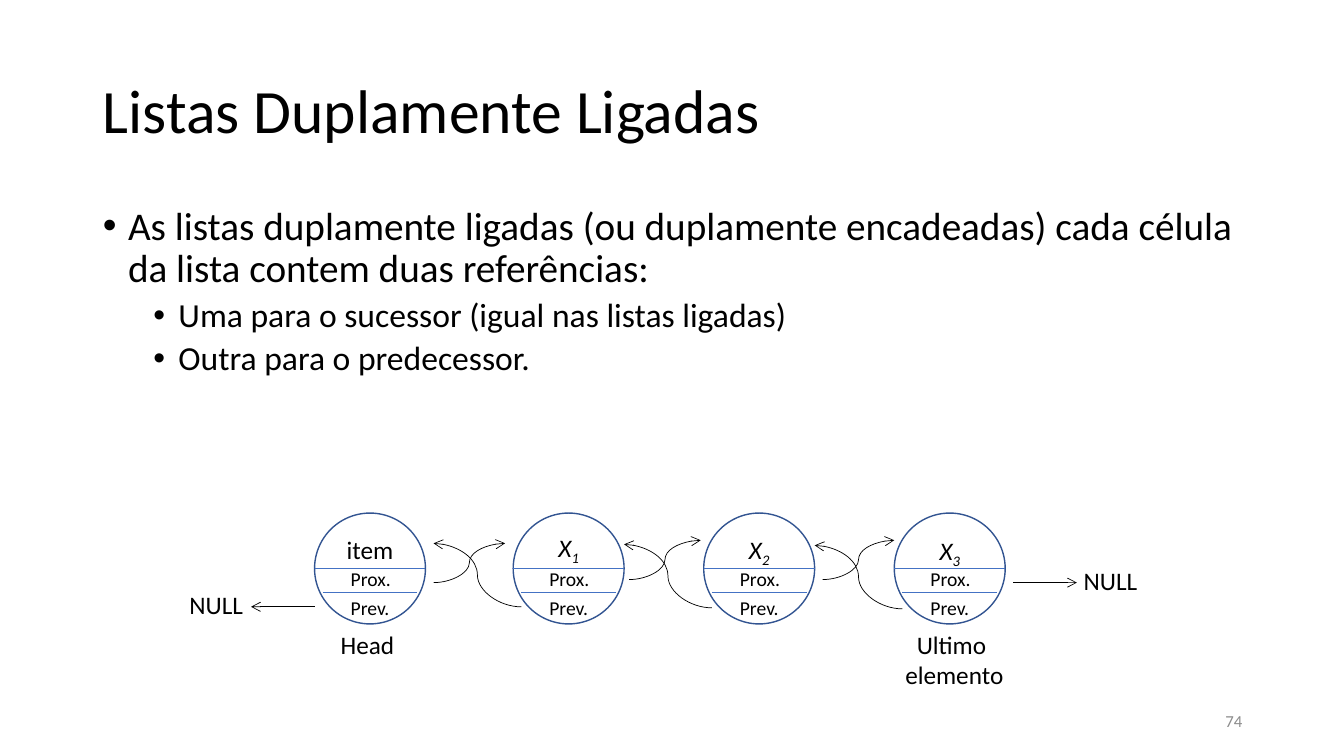
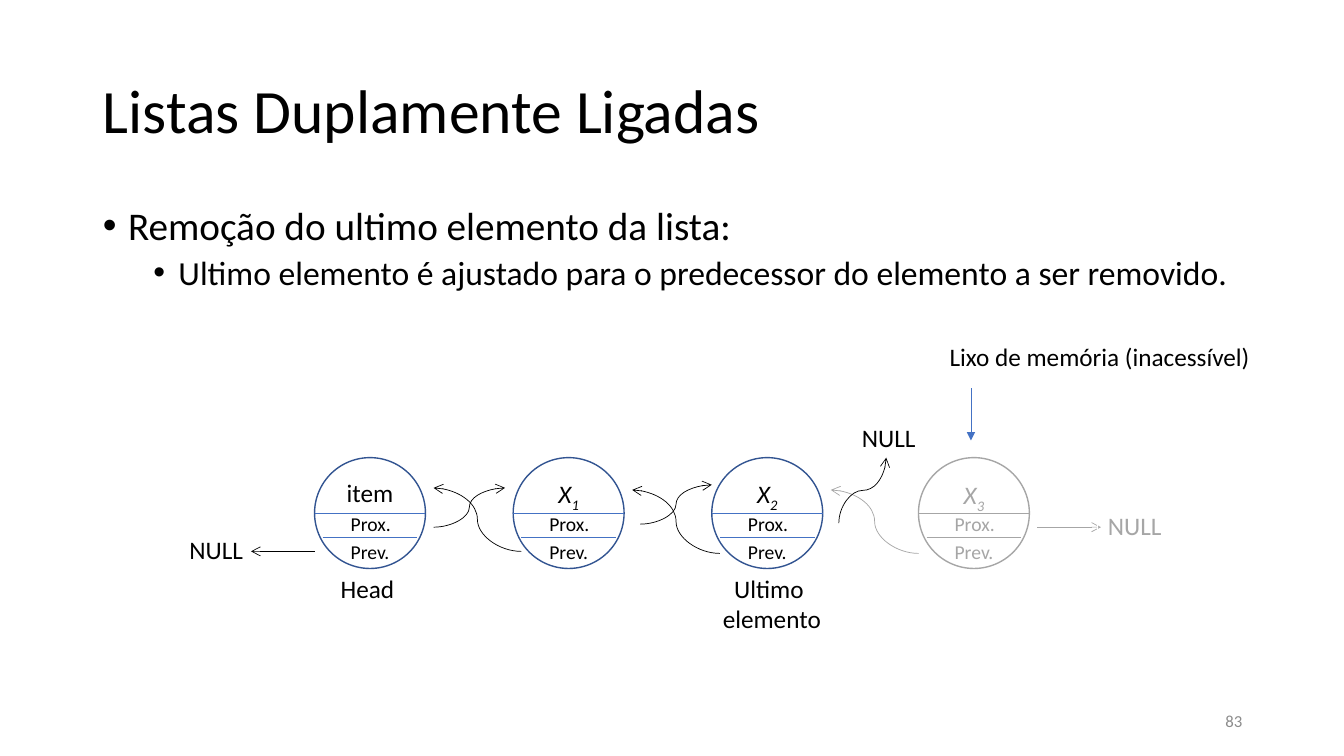
from dataclasses import dataclass

from lxml import etree
from pptx import Presentation
from pptx import util as u
from pptx.dml.color import RGBColor
from pptx.enum import shapes, text
from pptx.oxml import ns

PX = 9144  # EMU per px, 100 px to the inch
FONT = "Calibri"
BLACK = RGBColor(0x00, 0x00, 0x00)
WHITE = RGBColor(0xFF, 0xFF, 0xFF)
GREY = RGBColor(0xA6, 0xA6, 0xA6)
NUMBER_GREY = RGBColor(0x8C, 0x8C, 0x8C)
RING_BLUE = RGBColor(0x32, 0x54, 0x91)
RULE_BLUE = RGBColor(0x44, 0x72, 0xC4)

TITLE = "Listas Duplamente Ligadas"
DIAMETER = 110
FORWARD = (71, -39)
BACKWARD = (-87, -63)
BULLET_STYLES = ((28, 25, 0), (24, 75, 5))  # size, left margin, space before


@dataclass(frozen=True)
class Cell:
    left: int
    label_drop: int
    subscript: str = ""
    faded: bool = False


@dataclass(frozen=True)
class Label:
    left: int
    top: int
    width: int
    lines: tuple[str, ...]
    color: RGBColor = BLACK
    border: RGBColor | None = None


@dataclass(frozen=True)
class Arrow:
    start: tuple[int, int]
    reach: tuple[int, int]
    color: RGBColor = BLACK
    curved: bool = False
    quarter_turns: int = 0
    head: str = "arrow"


@dataclass(frozen=True)
class ListPage:
    number: str
    bullets: tuple[tuple[int, str], ...]
    cells_top: int
    cells: tuple[Cell, ...]
    arrows: tuple[Arrow, ...]
    labels: tuple[Label, ...]


def emu(px: float) -> u.Emu:
    return u.Emu(round(px * PX))


def forward(x: int, y: int) -> Arrow:
    return Arrow((x, y), FORWARD, curved=True)


def backward(x: int, y: int, color: RGBColor = BLACK) -> Arrow:
    return Arrow((x, y), BACKWARD, color, curved=True, quarter_turns=2)


def null_label(left: int, top: int, color: RGBColor = BLACK,
               border: RGBColor | None = None) -> Label:
    return Label(left, top, 74, ("NULL",), color, border)


PAGES = (
    ListPage(
        "74",
        ((0, "As listas duplamente ligadas (ou duplamente encadeadas) cada célula "
             "da lista contem duas referências:"),
         (1, "Uma para o sucessor (igual nas listas ligadas)"),
         (1, "Outra para o predecessor.")),
        509,
        (Cell(312, 16), Cell(509, 14, "1"), Cell(698, 16, "2"), Cell(887, 17, "3")),
        (forward(430, 578), forward(624, 575), forward(816, 575),
         backward(517, 602), backward(706, 603), backward(895, 604),
         Arrow((312, 602), (-63, 0)), Arrow((1005, 578), (63, 0))),
        (Label(328, 619, 74, ("Head",)),
         Label(887, 619, 119, ("Ultimo ", "elemento")),
         null_label(1065, 556), null_label(178, 580)),
    ),
    ListPage(
        "83",
        ((0, "Remoção do ultimo elemento da lista:"),
         (1, "Ultimo elemento é ajustado para o predecessor do elemento "
             "a ser removido.")),
        454,
        (Cell(312, 15), Cell(509, 16, "1"), Cell(706, 16, "2"),
         Cell(911, 17, "3", faded=True)),
        (forward(430, 523), forward(635, 520),
         backward(517, 547), backward(714, 549), backward(911, 549, GREY),
         Arrow((832, 519), (47, -65), curved=True, quarter_turns=1),
         Arrow((312, 547), (-63, 0)), Arrow((1029, 523), (63, 0), GREY),
         Arrow((963, 385), (0, 52), RULE_BLUE, head="triangle")),
        (Label(328, 564, 74, ("Head",)),
         Label(706, 564, 119, ("Ultimo ", "elemento")),
         null_label(178, 525), null_label(845, 414),
         null_label(1089, 501, GREY, WHITE),
         Label(932, 334, 321, ("Lixo de memória (inacessível)",))),
    ),
)


def place(shape, left: int, top: int, width: int, height: int) -> None:
    shape.left, shape.top = emu(left), emu(top)
    shape.width, shape.height = emu(width), emu(height)


def add_span(para, words: str, size: int, color: RGBColor = BLACK,
             italic: bool = False, subscript: bool = False) -> None:
    span = para.add_run()
    span.text = words
    span.font.name = FONT
    span.font.size = u.Pt(size)
    span.font.color.rgb = color
    if italic:
        span.font.italic = True
    if subscript:
        span.font._element.set("baseline", "-25000")


def add_fitted_box(parent, left: int, top: int, width: int, height: int):
    """Add an empty text box that grows with its unwrapped text."""
    box = parent.add_textbox(emu(left), emu(top), emu(width), emu(height))
    box.text_frame.word_wrap = False
    box.text_frame.auto_size = text.MSO_AUTO_SIZE.SHAPE_TO_FIT_TEXT
    return box


def add_line(parent, begin: tuple[float, float], end: tuple[float, float],
             color: RGBColor, curved: bool = False):
    kind = shapes.MSO_CONNECTOR.CURVE if curved else shapes.MSO_CONNECTOR.STRAIGHT
    line = parent.add_connector(kind, *map(emu, begin + end))
    line.line.color.rgb = color
    line.line.width = u.Pt(0.5)
    etree.SubElement(line._element.spPr, ns.qn("a:effectLst"))
    return line


def add_arrow(parent, arrow: Arrow) -> None:
    """Draw an arrow; a turned curve is laid out unrotated about its centre."""
    dx, dy = arrow.reach
    x, y = arrow.start[0] + dx / 2, arrow.start[1] + dy / 2
    for _ in range(arrow.quarter_turns):
        dx, dy = dy, -dx
    line = add_line(parent, (x - dx / 2, y - dy / 2), (x + dx / 2, y + dy / 2),
                    arrow.color, arrow.curved)
    if arrow.quarter_turns:
        line._element.spPr.find(ns.qn("a:xfrm")).set(
            "rot", str(arrow.quarter_turns * 5400000))
    head = etree.SubElement(line.line._get_or_add_ln(), ns.qn("a:tailEnd"))
    head.set("type", arrow.head)


def add_cell(page, cell: Cell, top: int) -> None:
    parent = page.shapes.add_group_shape().shapes
    left = cell.left
    ink = GREY if cell.faded else BLACK
    rule = GREY if cell.faded else RULE_BLUE

    for words, drop in (("Prox.", 49), ("Prev.", 77)):
        box = add_fitted_box(parent, left + 26, top + drop, 60, 34)
        add_span(box.text_frame.paragraphs[0], words, 14, ink)

    ring = parent.add_shape(shapes.MSO_SHAPE.OVAL, emu(left), emu(top),
                            emu(DIAMETER), emu(DIAMETER))
    ring.shadow.inherit = False
    ring.fill.background()
    ring.line.color.rgb = GREY if cell.faded else RING_BLUE
    ring.line.width = u.Pt(1)

    for inset, drop in ((0, 55), (8, 79)):
        add_line(parent, (left + inset, top + drop),
                 (left + DIAMETER - inset, top + drop), rule)

    indent, width = (35, 42) if cell.subscript else (22, 67)
    box = add_fitted_box(parent, left + indent, top + cell.label_drop, width, 40)
    para = box.text_frame.paragraphs[0]
    if cell.subscript:
        add_span(para, "X", 18, ink, italic=True)
        add_span(para, cell.subscript, 18, ink, italic=True, subscript=True)
    else:
        add_span(para, "item", 18, ink)


def add_label(page, label: Label) -> None:
    height = 40 + 31 * (len(label.lines) - 1)
    box = add_fitted_box(page.shapes, label.left, label.top, label.width, height)
    if label.border is not None:
        box.line.color.rgb = label.border
        box.line.width = u.Pt(0.75)
    for index, words in enumerate(label.lines):
        frame = box.text_frame
        para = frame.add_paragraph() if index else frame.paragraphs[0]
        if len(label.lines) > 1:
            para.alignment = text.PP_ALIGN.CENTER
        add_span(para, words, 18, label.color)


def fill_title(page) -> None:
    title = page.shapes.title
    place(title, 92, 40, 1150, 145)
    frame = title.text_frame
    frame.auto_size = text.MSO_AUTO_SIZE.NONE
    frame.vertical_anchor = text.MSO_ANCHOR.MIDDLE
    para = frame.paragraphs[0]
    para.alignment = text.PP_ALIGN.LEFT
    para.line_spacing = 0.9
    add_span(para, TITLE, 44)


def fill_bullets(page, bullets: tuple[tuple[int, str], ...]) -> None:
    body = page.placeholders[1]
    place(body, 92, 200, 1150, 476)
    frame = body.text_frame
    frame.auto_size = text.MSO_AUTO_SIZE.NONE
    for index, (level, words) in enumerate(bullets):
        para = frame.add_paragraph() if index else frame.paragraphs[0]
        size, margin, before = BULLET_STYLES[level]
        props = para._p.get_or_add_pPr()
        props.set("marL", str(emu(margin)))
        props.set("indent", str(emu(-25)))
        etree.SubElement(props, ns.qn("a:buFont")).set("typeface", "Arial")
        etree.SubElement(props, ns.qn("a:buChar")).set("char", "•")
        para.level = level
        para.line_spacing = 0.9
        para.space_before = u.Pt(before)
        add_span(para, words, size)


def add_page_number(page, number: str) -> None:
    box = page.shapes.add_textbox(emu(942), emu(695), emu(300), emu(40))
    box.text_frame.word_wrap = True
    box.text_frame.vertical_anchor = text.MSO_ANCHOR.MIDDLE
    para = box.text_frame.paragraphs[0]
    para.alignment = text.PP_ALIGN.RIGHT
    add_span(para, number, 12, NUMBER_GREY)


def add_page(deck, content: ListPage) -> None:
    page = deck.slides.add_slide(deck.slide_layouts[1])
    fill_title(page)
    fill_bullets(page, content.bullets)
    for cell in content.cells:
        add_cell(page, cell, content.cells_top)
    for arrow in content.arrows:
        add_arrow(page.shapes, arrow)
    for label in content.labels:
        add_label(page, label)
    add_page_number(page, content.number)


def main() -> None:
    deck = Presentation()
    deck.slide_width, deck.slide_height = emu(1333), emu(750)
    for content in PAGES:
        add_page(deck, content)
    deck.save("out.pptx")


if __name__ == "__main__":
    main()
